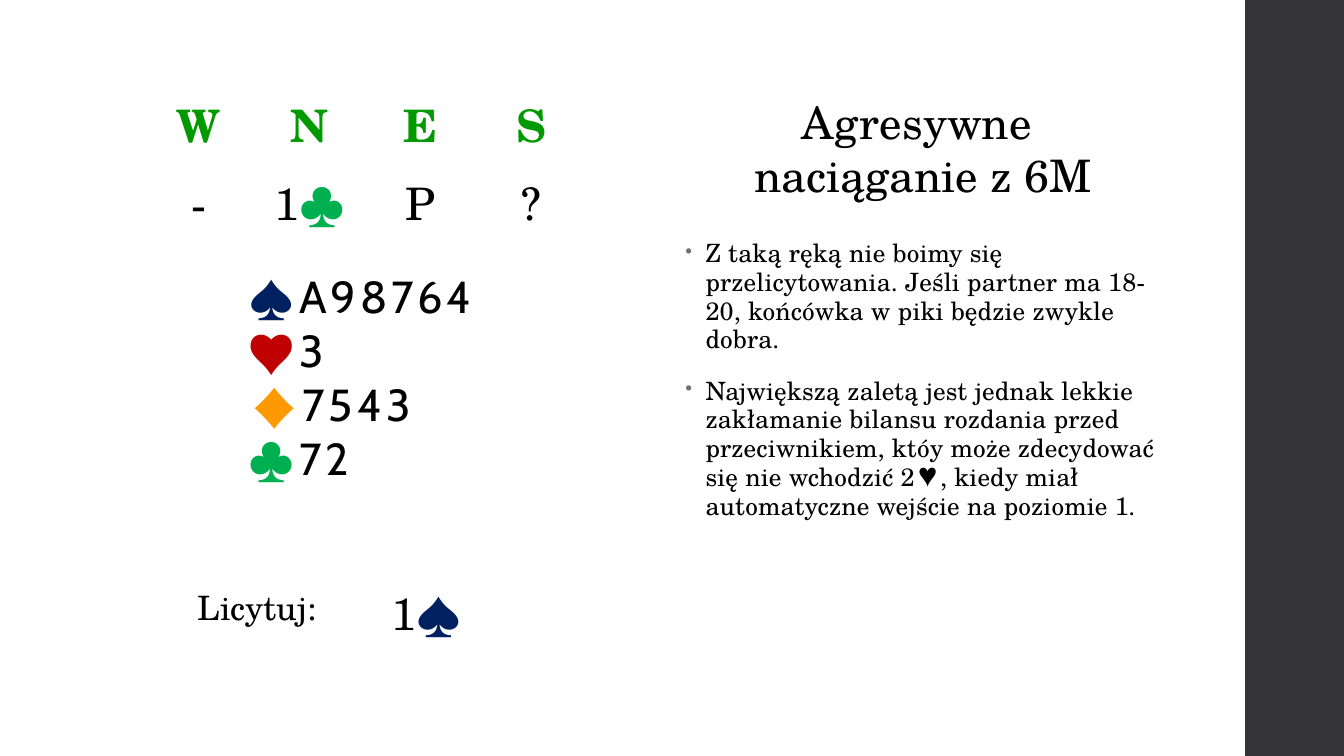
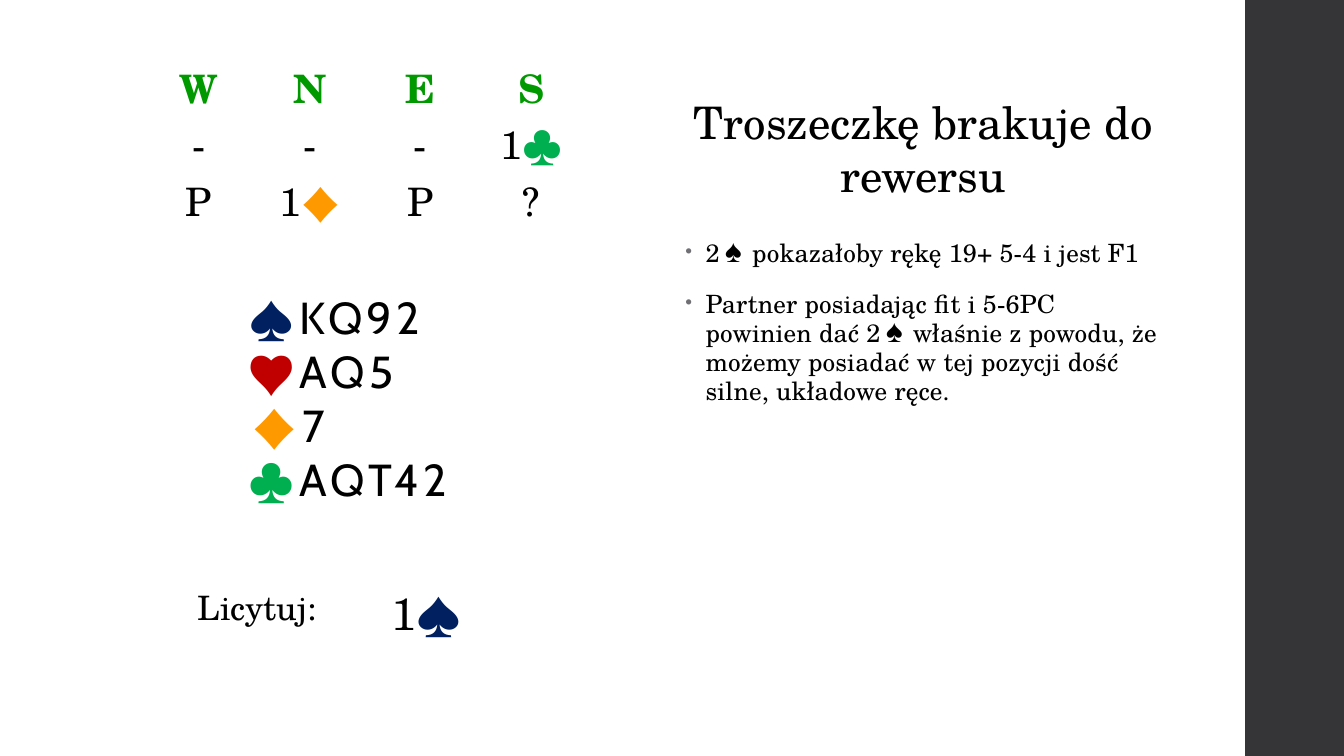
from lxml import etree
from pptx import Presentation
from pptx.dml.color import RGBColor
from pptx.enum.shapes import MSO_SHAPE
from pptx.enum.text import MSO_ANCHOR, MSO_AUTO_SIZE, PP_ALIGN
from pptx.oxml.ns import qn
from pptx.util import Inches, Pt

RECT = MSO_SHAPE.RECTANGLE
MIDDLE = MSO_ANCHOR.MIDDLE
GROW = MSO_AUTO_SIZE.SHAPE_TO_FIT_TEXT
LEFT, CENTER = PP_ALIGN.LEFT, PP_ALIGN.CENTER

SERIF, SANS = "TeX Gyre Schola", "Cabin"
COLORS = {
    "text": "000000", "band": "353537", "seat": "009900", "bullet": "6F6F74",
    "♠": "002060", "♥": "C00000", "♦": "FF9900", "♣": "00B050",
}
SUITS = "♠♥♦♣"
SEATS = "WNES"

DEALS = [
    {
        "title": ["Agresywne ", "naciąganie z 6M"],
        "notes": [
            "Z taką ręką nie boimy się przelicytowania. Jeśli partner ma 18-20, "
            "końcówka w piki będzie zwykle dobra.",
            "Największą zaletą jest jednak lekkie zakłamanie bilansu rozdania "
            "przed przeciwnikiem, któy może zdecydować się nie wchodzić 2♥, "
            "kiedy miał automatyczne wejście na poziomie 1.",
        ],
        "calls": [["-", "1♣", "P", "?"]],
        "auction": (1.42, 0.84, 4.4, 1.27), "size": 32,
        "hand": ["A98764", "3", "7543", "72"], "top": 2.62,
        "answer": "1♠",
    },
    {
        "title": ["Troszeczkę brakuje do rewersu"],
        "notes": [
            "2♠ pokazałoby rękę 19+ 5-4 i jest F1",
            "Partner posiadając fit i 5-6PC powinien dać 2♠ właśnie z powodu, "
            "że możemy posiadać w tej pozycji dość silne, układowe ręce.",
        ],
        "calls": [["-", "-", "-", "1♣"], ["P", "1♦", "P", "?"]],
        "auction": (1.42, 0.52, 4.4, 1.7), "size": 28,
        "hand": ["KQ92", "AQ5", "7", "AQT42"], "top": 2.83,
        "answer": "1♠",
    },
]


def rgb(name):
    return RGBColor.from_string(COLORS[name])


def add_run(para, text, size, font=SERIF, color="text", bold=False, gap=0):
    run = para.add_run()
    run.text = text
    run.font.size = Pt(size)
    run.font.name = font
    run.font.bold = bold
    run.font.color.rgb = rgb(color)
    if gap:
        run.font._element.set("spc", str(round(gap * 100)))


def add_call(para, text, size, **style):
    """Write a call, with each suit symbol in its own colour."""
    for part in text:
        if part in SUITS:
            add_run(para, part, size, SANS, part, gap=3)
        else:
            add_run(para, part, size, **style)


def add_part(parent, tag, **attrs):
    return etree.SubElement(parent, qn("a:" + tag), attrs)


def indent(para, left, first=0):
    props = para._p.get_or_add_pPr()
    props.set("marL", str(Inches(left)))
    props.set("indent", str(Inches(first)))
    return props


def add_text(slide, box):
    shape = slide.shapes.add_textbox(*map(Inches, box))
    shape.text_frame.word_wrap = True
    return shape.text_frame


def next_para(frame, index):
    return frame.add_paragraph() if index else frame.paragraphs[0]


def add_grid(slide, box, widths, rows):
    """Add a plain table whose rows grow to fit their text."""
    frame = slide.shapes.add_table(rows, len(widths), *map(Inches, box))
    table = frame.table
    table.first_row = table.horz_banding = False
    for col, width in zip(table.columns, widths):
        col.width = Inches(width)
    for row in table.rows:
        row.height = Inches(0.41)
    frame.height = Inches(box[3])
    for cell in table.iter_cells():
        cell.fill.background()
        cell.vertical_anchor = MIDDLE
        cell.text_frame.paragraphs[0].alignment = CENTER
    return table


def first_para(table, row, col):
    return table.cell(row, col).text_frame.paragraphs[0]


def add_band(slide, box):
    band = slide.shapes.add_shape(RECT, *map(Inches, box))
    band.shadow.inherit = False
    band.fill.solid()
    band.fill.fore_color.rgb = rgb("band")
    band.line.fill.background()


def add_title(slide, box, lines):
    frame = add_text(slide, box)
    frame.vertical_anchor = MIDDLE
    frame.auto_size = GROW
    for i, line in enumerate(lines):
        para = next_para(frame, i)
        para.alignment = CENTER
        add_run(para, line, 32)


def add_notes(slide, box, notes):
    frame = add_text(slide, box)
    for i, note in enumerate(notes):
        para = next_para(frame, i)
        props = indent(para, 0.2, -0.2)
        tint = add_part(props, "buClr")
        add_part(tint, "srgbClr", val=COLORS["bullet"])
        add_part(props, "buSzPct", val="80000")
        add_part(props, "buChar", char="•")
        para.line_spacing = 0.95
        para.space_before = Pt(14 if i else 0)
        para.space_after = Pt(2)
        add_run(para, note, 18, gap=0.1)


def add_auction(slide, box, calls, size):
    width = box[2] / len(SEATS)
    table = add_grid(slide, box, [width] * len(SEATS), len(calls) + 1)
    for col, seat in enumerate(SEATS):
        add_run(first_para(table, 0, col), seat, size, color="seat", bold=True)
        for row, line in enumerate(calls, 1):
            add_call(first_para(table, row, col), line[col], size)


def add_hand(slide, box, cards):
    frame = add_text(slide, box)
    frame.auto_size = GROW
    for i, (suit, held) in enumerate(zip(SUITS, cards)):
        para = next_para(frame, i)
        props = indent(para, 0.03 if suit == "♦" else 0)
        tabs = add_part(props, "tabLst")
        for pos, side in ((0.5, "r"), (0.7, "l")):
            add_part(tabs, "tab", pos=str(Inches(pos)), algn=side)
        add_run(para, "\t", 28, SANS, gap=3)
        add_run(para, suit + "\t", 32, SANS, suit, gap=3)
        add_run(para, held, 32, SANS, gap=3)


def add_answer(slide, box, call):
    table = add_grid(slide, box, [2.46, 1.58], 1)
    add_run(first_para(table, 0, 0), "Licytuj:", 24)
    para = first_para(table, 0, 1)
    para.alignment = LEFT
    add_call(para, call, 32)


def add_deal(deck, deal):
    slide = deck.slides.add_slide(deck.slide_layouts[6])
    add_band(slide, (12.35, 0, 1, 7.5))
    add_auction(slide, deal["auction"], deal["calls"], deal["size"])
    add_notes(slide, (6.7, 2.33, 4.9, 4.51), deal["notes"])
    add_hand(slide, (1.87, deal["top"], 3.49, 2.26), deal["hand"])
    add_title(slide, (6.7, 0.88, 4.91, 1.18), deal["title"])
    add_answer(slide, (1.32, 5.7, 4.04, 0.63), deal["answer"])


def main():
    deck = Presentation()
    deck.slide_width, deck.slide_height = Inches(13.33), Inches(7.5)
    for deal in DEALS:
        add_deal(deck, deal)
    deck.save("out.pptx")


if __name__ == "__main__":
    main()
